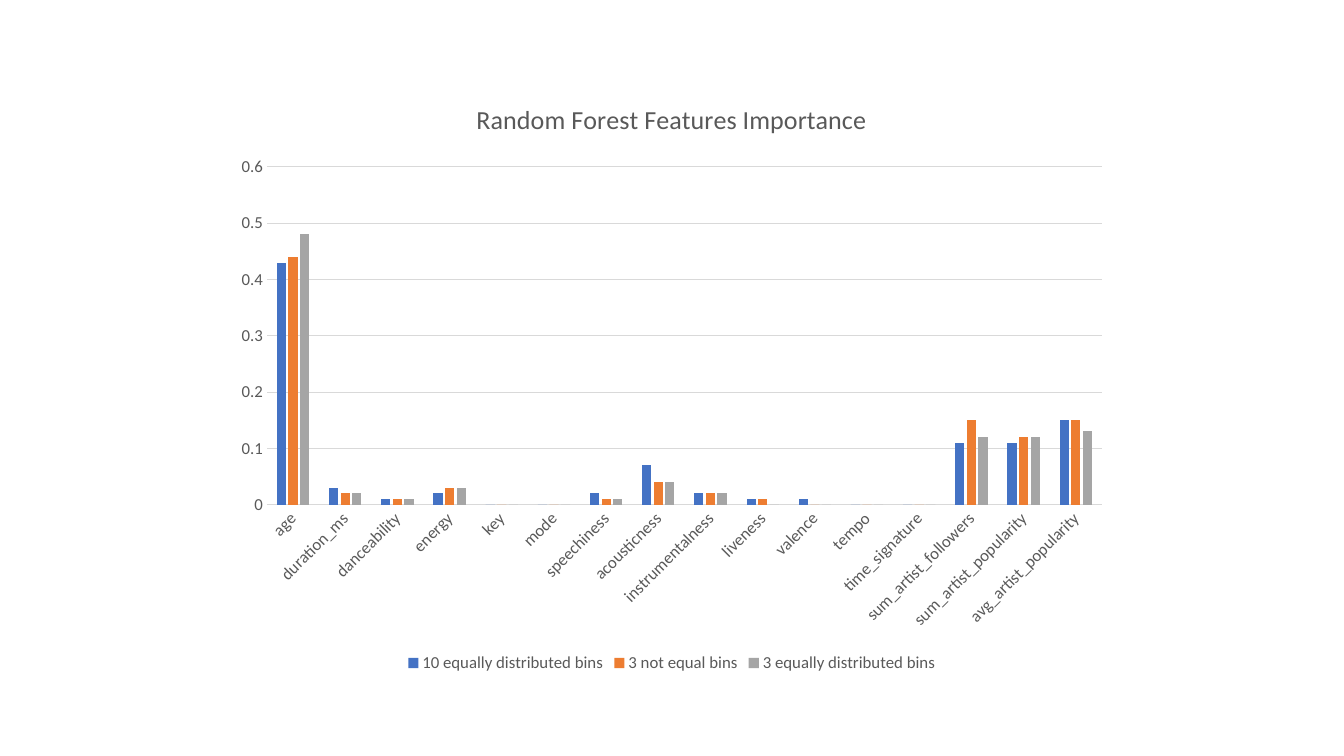
from dataclasses import dataclass

from pptx import Presentation
from pptx.chart.chart import Chart
from pptx.chart.data import CategoryChartData
from pptx.dml.color import RGBColor
from pptx.dml.line import LineFormat
from pptx.enum.chart import XL_CHART_TYPE as ChartType
from pptx.enum.chart import XL_LEGEND_POSITION as LegendPosition
from pptx.enum.chart import XL_TICK_MARK as TickMark
from pptx.text.text import Font
from pptx.util import Cm, Pt

COLORS = {
    "blue": "4472C4",
    "orange": "ED7D31",
    "gray": "A5A5A5",
    "text": "595959",
    "rule": "D9D9D9",
}

FEATURES = (
    "age", "duration_ms", "danceability", "energy", "key", "mode",
    "speechiness", "acousticness", "instrumentalness", "liveness", "valence",
    "tempo", "time_signature", "sum_artist_followers",
    "sum_artist_popularity", "avg_artist_popularity",
)


@dataclass(frozen=True)
class Binning:
    name: str
    color: str
    importances: tuple[float, ...]


BINNINGS = (
    Binning("10 equally distributed bins", "blue",
            (0.43, 0.03, 0.01, 0.02, 0, 0, 0.02, 0.07,
             0.02, 0.01, 0.01, 0, 0, 0.11, 0.11, 0.15)),
    Binning("3 not equal bins", "orange",
            (0.44, 0.02, 0.01, 0.03, 0, 0, 0.01, 0.04,
             0.02, 0.01, 0, 0, 0, 0.15, 0.12, 0.15)),
    Binning("3 equally distributed bins", "gray",
            (0.48, 0.02, 0.01, 0.03, 0, 0, 0.01, 0.04,
             0.02, 0, 0, 0, 0, 0.12, 0.12, 0.13)),
)


def rgb(color: str) -> RGBColor:
    return RGBColor.from_string(COLORS[color])


def style_font(font: Font, size: float) -> None:
    font.name = "Calibri"
    font.size = Pt(size)
    font.bold = False
    font.color.rgb = rgb("text")


def style_rule(line: LineFormat) -> None:
    line.color.rgb = rgb("rule")
    line.width = Pt(0.75)


def style_title(chart: Chart) -> None:
    chart.has_title = True
    chart.chart_title.include_in_layout = False
    heading = chart.chart_title.text_frame.paragraphs[0]
    heading.text = "Random Forest Features Importance"
    style_font(heading.font, 18.6)


def style_axes(chart: Chart) -> None:
    features, importance = chart.category_axis, chart.value_axis
    for axis in (features, importance):
        axis.major_tick_mark = axis.minor_tick_mark = TickMark.NONE
        style_font(axis.tick_labels.font, 12)

    # Feature names slant upwards
    features.has_major_gridlines = False
    style_rule(features.format.line)
    features._element.txPr.bodyPr.set("rot", "-2700000")

    importance.minimum_scale = 0
    importance.maximum_scale = 0.6
    importance.major_unit = 0.1
    importance.tick_labels.number_format = "General"
    importance.tick_labels.number_format_is_linked = False
    importance.format.line.fill.background()
    importance.has_major_gridlines = True
    style_rule(importance.major_gridlines.format.line)


def style_columns(chart: Chart) -> None:
    plot = chart.plots[0]
    plot.gap_width = 219
    plot.overlap = -27
    plot.vary_by_categories = False
    for columns, binning in zip(plot.series, BINNINGS):
        columns.format.fill.solid()
        columns.format.fill.fore_color.rgb = rgb(binning.color)


def style_legend(chart: Chart) -> None:
    chart.has_legend = True
    chart.legend.position = LegendPosition.BOTTOM
    chart.legend.include_in_layout = False
    style_font(chart.legend.font, 12)


def main() -> None:
    presentation = Presentation()
    presentation.slide_width = Cm(33.87)
    presentation.slide_height = Cm(19.05)
    slide = presentation.slides.add_slide(presentation.slide_layouts[6])

    # Importance of each feature under each binning
    importances = CategoryChartData()
    importances.categories = FEATURES
    for binning in BINNINGS:
        importances.add_series(binning.name, binning.importances)
    chart = slide.shapes.add_chart(
        ChartType.COLUMN_CLUSTERED,
        Cm(5.64), Cm(2), Cm(22.58), Cm(15.06), importances,
    ).chart

    # Look of the chart
    style_font(chart.font, 10)
    style_title(chart)
    style_axes(chart)
    style_columns(chart)
    style_legend(chart)

    presentation.save("out.pptx")


if __name__ == "__main__":
    main()
